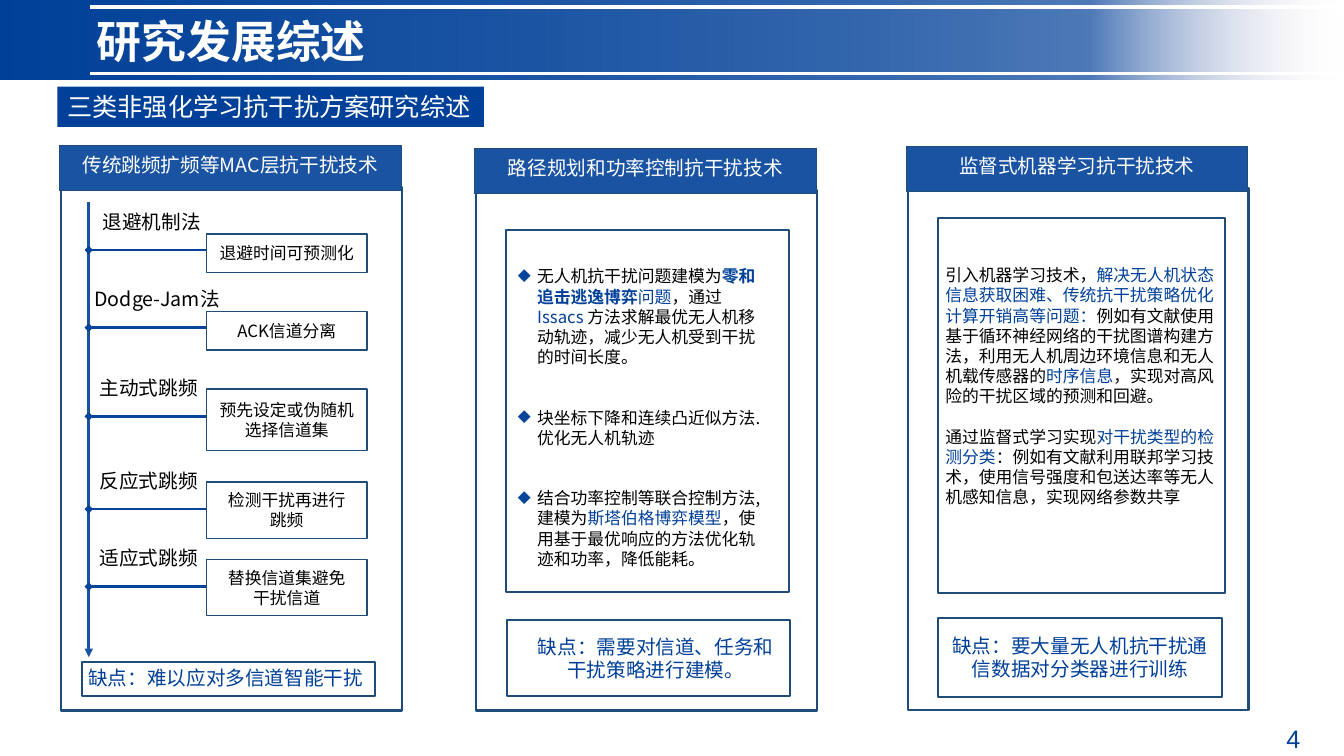
from collections import namedtuple

from lxml.etree import SubElement
from pptx import Presentation
from pptx.dml.color import RGBColor
from pptx.enum.shapes import MSO_CONNECTOR, MSO_SHAPE
from pptx.enum.text import MSO_ANCHOR, MSO_AUTO_SIZE, PP_ALIGN
from pptx.oxml.ns import qn
from pptx.util import Pt

COLORS = {"navy": "004098", "blue": "1A53A2", "branch": "05449A", "edge": "1F4D78",
          "ink": "000000", "white": "FFFFFF"}
BAND_STOPS = [(0, "004098", 100), (37, "1A53A2", 100), (64, "3366AC", 100),
              (81, "4D79B7", 100), (100, "FEF2F3", 0)]
FONT = "Noto Sans CJK SC"
HEADER_HEIGHT = 32
INSETS = (7.2, 3.6, 7.2, 3.6)

Box = namedtuple("Box", "left top width height")

METHODS = [  # label, label offset from spine, height on spine, note lines, note rise, note height
    ("退避机制法", 2.8, 74.9, ["退避时间可预测化"], 11.5, 27.4),
    ("Dodge-Jam法", -3, 130.3, ["ACK信道分离"], 11.5, 27.4),
    ("主动式跳频", 0.7, 193.7, ["预先设定或伪随机选择信道集"], 19.4, 43.9),
    ("反应式跳频", 0.7, 259.9, ["检测干扰再进行", "跳频"], 19.4, 40.3),
    ("适应式跳频", 0.7, 315.3, ["替换信道集避免", "干扰信道"], 19.4, 40.3),
]
PLANNING = [
    [("无人机抗干扰问题建模为", "ink"), ("零和追击逃逸博弈", "navy", True), ("问题", "navy"),
     ("，通过", "ink"), ("Issacs ", "navy"),
     ("方法求解最优无人机移动轨迹，减少无人机受到干扰的时间长度。", "ink")],
    [("块坐标下降和连续凸近似方法.优化无人机轨迹", "ink")],
    [("结合功率控制等联合控制方法,建模为", "ink"), ("斯塔伯格博弈模型", "navy"),
     ("，使用基于最优响应的方法优化轨迹和功率，降低能耗。", "ink")],
]
SUPERVISED = [
    [("引入机器学习技术，", "ink"),
     ("解决无人机状态信息获取困难、传统抗干扰策略优化计算开销高等问题：", "navy"),
     ("例如有文献使用基于循环神经网络的干扰图谱构建方法，利用无人机周边环境信息和无人机载传感器的", "ink"),
     ("时序信息", "navy"), ("，实现对高风险的干扰区域的预测和回避。", "ink")],
    [("通过监督式学习实现", "ink"), ("对干扰类型的检测分类", "navy"),
     ("：例如有文献利用联邦学习技术，使用信号强度和包送达率等无人机感知信息，实现网络参数共享", "ink")],
]


def rgb(name):
    return RGBColor.from_string(COLORS[name])


def points(box):
    return [Pt(value) for value in box]


def inside(box, left, top, width, height):
    """Turn an offset within a box into a box on the page."""
    return Box(box.left + left, box.top + top, width, height)


def add_bullet(para):
    props = para._p.get_or_add_pPr()
    props.set("marL", str(Pt(13.7)))
    props.set("indent", str(-Pt(13.7)))
    color = SubElement(props, qn("a:buClr"))
    SubElement(color, qn("a:srgbClr"), val=COLORS["branch"])
    SubElement(props, qn("a:buChar"), char="◆")


def write(shape, paragraphs, size, color="ink", align=PP_ALIGN.LEFT, anchor=MSO_ANCHOR.TOP,
          insets=INSETS, gap=0, bold=False, bullets=False, wrap=True, font=FONT):
    """Fill a shape; each paragraph is a string or a list of (text, colour, bold) runs."""
    frame = shape.text_frame
    frame.word_wrap = wrap
    frame.auto_size = MSO_AUTO_SIZE.NONE
    frame.vertical_anchor = anchor
    frame.margin_left, frame.margin_top, frame.margin_right, frame.margin_bottom = points(insets)
    for index, content in enumerate(paragraphs):
        para = frame.add_paragraph() if index else frame.paragraphs[0]
        if bullets:
            add_bullet(para)
        para.alignment = align
        para.line_spacing = Pt(round(size * 1.2, 1))
        para.space_before = Pt(gap if index else 0)
        runs = [(content, color, bold)] if isinstance(content, str) else content
        for text, run_color, *strong in runs:
            span = para.add_run()
            span.text = text
            span.font.size = Pt(size)
            span.font.bold = any(strong)
            span.font.color.rgb = rgb(run_color)
            span.font.name = font
            SubElement(span._r.get_or_add_rPr(), qn("a:ea"), typeface=FONT)


def add_panel(page, box, fill="white", edge="edge", weight=1.5):
    panel = page.shapes.add_shape(MSO_SHAPE.RECTANGLE, *points(box))
    panel.shadow.inherit = False
    panel.fill.solid()
    panel.fill.fore_color.rgb = rgb(fill)
    if edge:
        panel.line.color.rgb = rgb(edge)
        panel.line.width = Pt(weight)
    else:
        panel.line.fill.background()
    return panel


def add_line(page, start, end, color, weight, **ends):
    """Draw a line; ends maps headEnd or tailEnd to an arrowhead type."""
    line = page.shapes.add_connector(MSO_CONNECTOR.STRAIGHT, *points(start + end))
    line.line.color.rgb = rgb(color)
    line.line.width = Pt(weight)
    for name, kind in ends.items():
        SubElement(line.line._get_or_add_ln(), qn("a:" + name), type=kind)
    SubElement(line._element.spPr, qn("a:effectLst"))


def add_banner(page, box, title):
    band = page.shapes.add_shape(MSO_SHAPE.FLOWCHART_PROCESS, *points(box))
    band.shadow.inherit = False
    band.line.fill.background()
    band.fill.gradient()
    band.fill.gradient_angle = 0
    stops = band._element.spPr.find(qn("a:gradFill")).find(qn("a:gsLst"))
    for stop in list(stops):
        stops.remove(stop)
    for position, color, opacity in BAND_STOPS:
        stop = SubElement(stops, qn("a:gs"), pos=str(position * 1000))
        tint = SubElement(stop, qn("a:srgbClr"), val=color)
        if opacity < 100:
            SubElement(tint, qn("a:alpha"), val=str(opacity * 1000))
    for y in (5, box.height - 4.3):
        add_line(page, (64.1, box.top + y), (958.3, box.top + y), "white", 2.25)
    heading = page.shapes.title
    heading.left, heading.top, heading.width, heading.height = points(
        inside(box, 61.9, 6.5, 562.3, 46.1))
    write(heading, [title], 32, "white", bold=True)
    heading.element.getparent().append(heading.element)


def add_card(page, box, title):
    add_panel(page, inside(box, 1.2, HEADER_HEIGHT - 2, box.width - 0.7,
                           box.height - HEADER_HEIGHT + 2))
    header = add_panel(page, inside(box, 0, 0, box.width, HEADER_HEIGHT), "blue", weight=0.5)
    write(header, [title], 14, "white", PP_ALIGN.CENTER, insets=(3.6, 5.8, 3.6, 0))


def add_drawback(page, box, text, insets=INSETS):
    write(add_panel(page, box), [text], 14, "navy", PP_ALIGN.CENTER, MSO_ANCHOR.MIDDLE, insets)


def add_hopping_card(page, box):
    add_card(page, box, "传统跳频扩频等MAC层抗干扰技术")
    spine = box.left + 20.9
    note_left = box.left + 105.1
    add_line(page, (spine, box.top + 40.3), (spine, box.top + 365.7), "blue", 2,
             tailEnd="triangle")
    for label, shift, drop, note_lines, rise, height in METHODS:
        y = box.top + drop
        add_line(page, (spine, y), (note_left, y), "branch", 2, headEnd="diamond")
        caption = page.shapes.add_textbox(*points(Box(spine + shift, y - 32.4, 116.6, 24.5)))
        write(caption, [label], 14)
        note = add_panel(page, Box(note_left, y - rise, 114.5, height), weight=1)
        write(note, note_lines, 12, align=PP_ALIGN.CENTER, anchor=MSO_ANCHOR.MIDDLE)
    add_drawback(page, inside(box, 15.8, 369.3, 209.5, 24.5), "缺点：难以应对多信道智能干扰",
                 (3.6, 0, 7.2, 2))


def add_planning_card(page, box):
    add_card(page, box, "路径规划和功率控制抗干扰技术")
    panel = add_panel(page, inside(box, 22.3, 58.4, 202.3, 258.5))
    write(panel, PLANNING, 12, insets=(8.6, 25.9, 20.9, 0), gap=28.8, bullets=True)
    add_drawback(page, inside(box, 23.1, 337, 202.3, 54.7),
                 "缺点：需要对信道、任务和干扰策略进行建模。", (20.9, 3.6, 10.8, 3.6))


def add_learning_card(page, box):
    add_card(page, box, "监督式机器学习抗干扰技术")
    panel = add_panel(page, inside(box, 23, 51.1, 204.5, 267.8))
    write(panel, SUPERVISED, 12, insets=(5, 33.8, 1.4, 0), gap=14.4)
    add_drawback(page, inside(box, 23, 337, 202.3, 56.2),
                 "缺点：要大量无人机抗干扰通信数据对分类器进行训练")


def main():
    deck = Presentation()
    deck.slide_width, deck.slide_height = Pt(960), Pt(540)
    page = deck.slides.add_slide(deck.slide_layouts[5])
    add_banner(page, Box(0, 0, 960, 56.9), "研究发展综述")
    add_hopping_card(page, Box(42.5, 103.7, 244, 403.8))
    add_planning_card(page, Box(339.1, 105.8, 244, 401.7))
    add_learning_card(page, Box(647.3, 104.4, 244, 403.1))
    topic = add_panel(page, Box(41, 61.9, 304.6, 28.8), "navy", None)
    write(topic, ["三类非强化学习抗干扰方案研究综述"], 18, "white", anchor=MSO_ANCHOR.MIDDLE,
          wrap=False)
    number = page.shapes.add_textbox(*points(Box(854.6, 513.4, 81.4, 27.4)))
    write(number, ["4"], 18, "navy", PP_ALIGN.RIGHT, MSO_ANCHOR.MIDDLE, font="Arial")
    deck.save("out.pptx")


if __name__ == "__main__":
    main()
